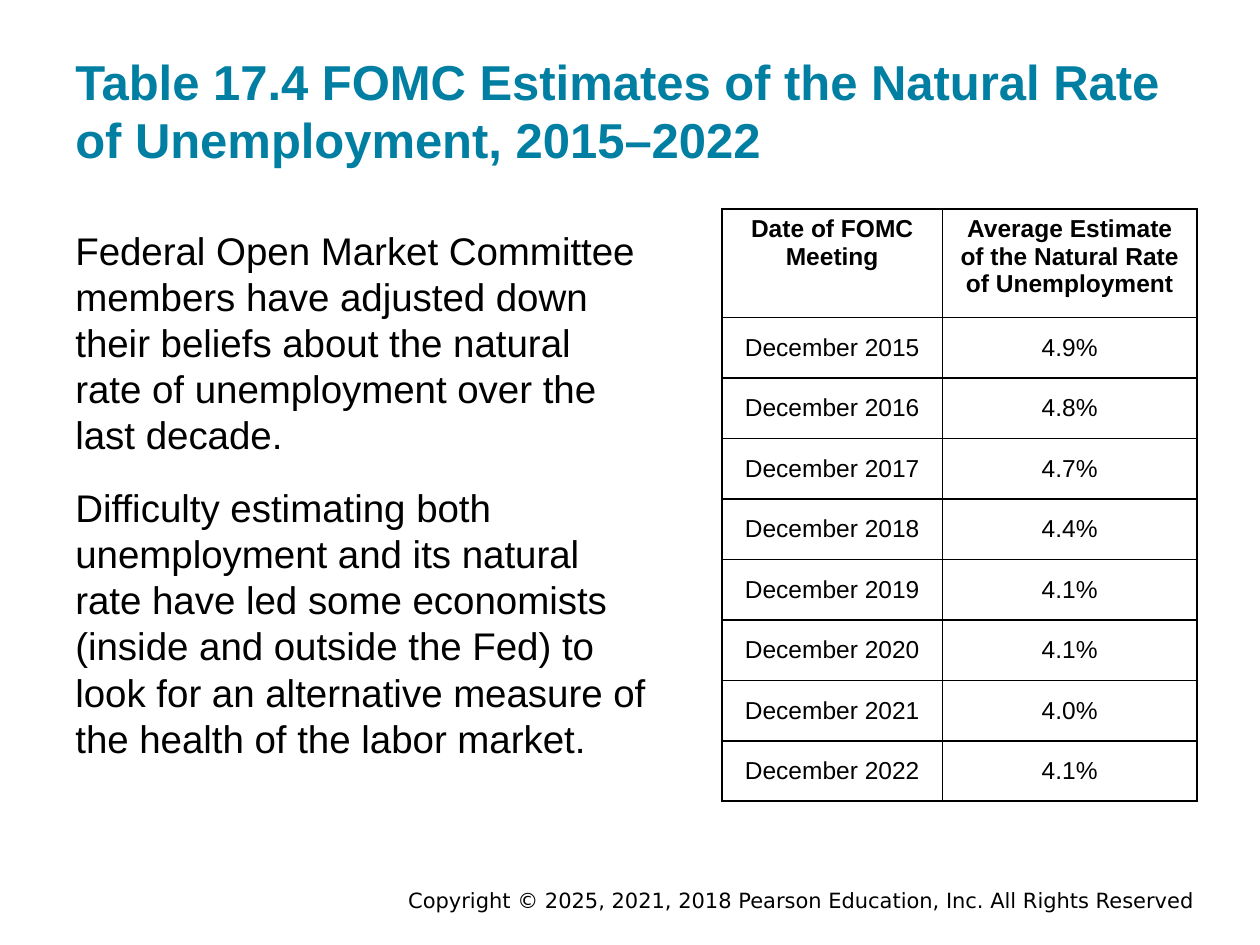
from lxml import etree
from pptx import Presentation
from pptx.dml.color import RGBColor
from pptx.enum.text import MSO_ANCHOR, PP_ALIGN
from pptx.oxml.ns import qn
from pptx.util import Inches, Pt

TOP, MIDDLE, BOTTOM = MSO_ANCHOR.TOP, MSO_ANCHOR.MIDDLE, MSO_ANCHOR.BOTTOM
LEFT, CENTER, RIGHT = PP_ALIGN.LEFT, PP_ALIGN.CENTER, PP_ALIGN.RIGHT
BLACK, TEAL = "000000", "007FA3"


def color(code):
    return RGBColor.from_string(code)


class Deck:
    def __init__(self, slide, font="Arial"):
        self.slide = slide
        self.font = font

    def label(self, para, text, size, code=BLACK, bold=False, align=LEFT, font=None):
        para.alignment = align
        run = para.add_run()
        run.text = text
        run.font.name = font or self.font
        run.font.size = Pt(size)
        run.font.bold = bold
        run.font.color.rgb = color(code)

    def text(self, box, paras, size, anchor=TOP, inset=0.1, gap=0, **style):
        frame = self.slide.shapes.add_textbox(*map(Inches, box)).text_frame
        frame.word_wrap = True
        frame.vertical_anchor = anchor
        frame.margin_left = frame.margin_right = Inches(0.1)
        frame.margin_top = frame.margin_bottom = Inches(inset)
        for i, line in enumerate(paras):
            para = frame.add_paragraph() if i else frame.paragraphs[0]
            if i:
                para.space_before = Pt(gap)
            self.label(para, line, size, **style)

    def border(self, cell, width=1):
        props = cell._tc.get_or_add_tcPr()
        for i, side in enumerate(("a:lnL", "a:lnR", "a:lnT", "a:lnB")):
            line = etree.Element(qn(side), w=str(Pt(width)))
            fill = etree.SubElement(line, qn("a:solidFill"))
            etree.SubElement(fill, qn("a:srgbClr"), val=BLACK)
            props.insert(i, line)

    def table(self, left, top, cols, heights, rows, size):
        box = (left, top, sum(cols), sum(heights))
        shape = self.slide.shapes.add_table(len(rows), len(cols), *map(Inches, box))
        grid = shape.table
        for col, width in zip(grid.columns, cols):
            col.width = Inches(width)
        for r, (row, height) in enumerate(zip(rows, heights)):
            grid.rows[r].height = Inches(height)
            for c, text in enumerate(row):
                cell = grid.cell(r, c)
                cell.fill.background()
                cell.vertical_anchor = MIDDLE if r else TOP
                self.label(cell.text_frame.paragraphs[0], text, size,
                           bold=r == 0, align=CENTER)
                self.border(cell)


def main():
    prs = Presentation()
    prs.slide_width, prs.slide_height = Inches(10), Inches(7.5)
    deck = Deck(prs.slides.add_slide(prs.slide_layouts[6]))

    # Footer
    deck.text((1.75, 7.03, 7.83, 0.22),
              ["Copyright © 2025, 2021, 2018 Pearson Education, Inc. All Rights Reserved"],
              12, anchor=MIDDLE, inset=0.05, align=RIGHT, font="DejaVu Sans")

    # Title
    deck.text((0.5, 0.24, 9, 1.2),
              ["Table 17.4 FOMC Estimates of the Natural Rate of Unemployment, 2015–2022"],
              28, anchor=BOTTOM, code=TEAL, bold=True)

    # Body
    deck.text((0.5, 1.7, 4.74, 4.74), [
        "Federal Open Market Committee members have adjusted down their beliefs "
        "about the natural rate of unemployment over the last decade.",
        "Difficulty estimating both unemployment and its natural rate have led some "
        "economists (inside and outside the Fed) to look for an alternative measure "
        "of the health of the labor market.",
    ], 22, gap=15)

    # Table of estimates
    rates = ["4.9%", "4.8%", "4.7%", "4.4%", "4.1%", "4.1%", "4.0%", "4.1%"]
    rows = [("Date of FOMC Meeting", "Average Estimate of the Natural Rate of Unemployment")]
    rows += [(f"December {year}", rate) for year, rate in enumerate(rates, 2015)]
    deck.table(5.73, 1.66, (1.75, 2.02), [0.86] + [0.48] * len(rates), rows, 14)

    prs.save("out.pptx")


if __name__ == "__main__":
    main()
